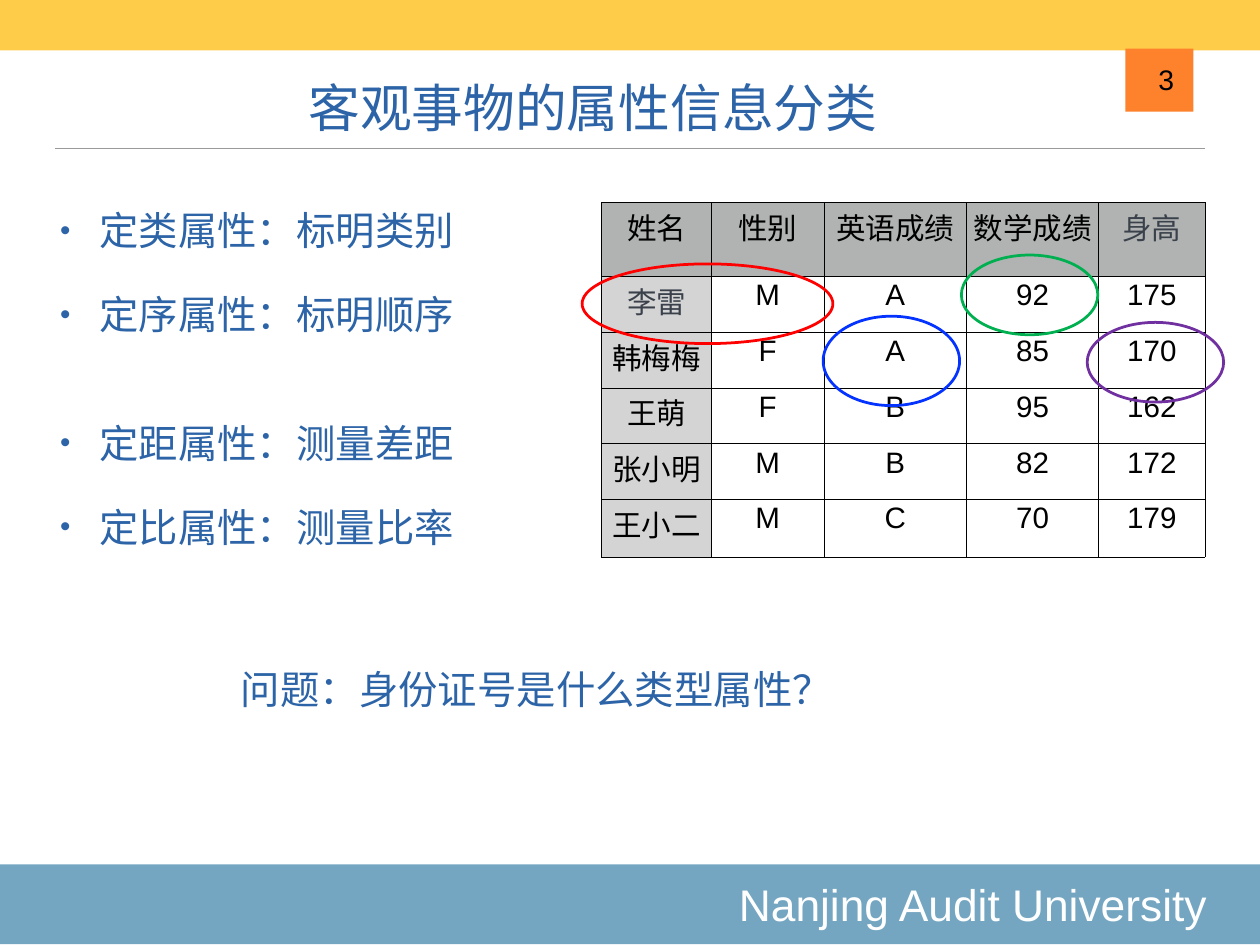
from pptx import Presentation
from pptx.dml.color import RGBColor
from pptx.enum.shapes import MSO_CONNECTOR as CONNECTOR, MSO_SHAPE as SHAPE
from pptx.enum.text import MSO_ANCHOR as ANCHOR, MSO_AUTO_SIZE as AUTO, PP_ALIGN as ALIGN
from pptx.oxml.ns import qn
from pptx.util import Inches, Pt
from lxml.etree import SubElement

BLUE, BLACK, SLATE, WHITE = "2C64A7", "000000", "3A414B", "FFFFFF"
SANS, MONO = "Arial", "Courier New"
HEADER_FILL, NAME_FILL = "B0B3B2", "D4D4D4"

COLUMN_WIDTHS = [1.24, 1.27, 1.61, 1.49, 1.2]
ROW_HEIGHTS = [0.83, 0.63, 0.63, 0.63, 0.63, 0.65]
STUDENTS = [
    ["姓名", "性别", "英语成绩", "数学成绩", "身高"],
    ["李雷", "M", "A", "92", "175"],
    ["韩梅梅", "F", "A", "85", "170"],
    ["王萌", "F", "B", "95", "162"],
    ["张小明", "M", "B", "82", "172"],
    ["王小二", "M", "C", "70", "179"],
]
SLATE_CELLS = {(0, 4), (1, 0)}

# Left, top, width, height and colour of each ring
RINGS = [
    (6.57, 2.98, 2.83, 0.9, "FF0000"),
    (9.29, 3.57, 1.54, 1.01, "0432FF"),
    (10.85, 2.88, 1.54, 0.9, "00B050"),
    (12.27, 3.64, 1.54, 0.9, "7030A0"),
]


def colour(value):
    return RGBColor.from_string(value)


def add_span(para, text, size, font, ink, align=ALIGN.LEFT):
    para.alignment = align
    span = para.add_run()
    span.text = text
    span.font.size = Pt(size)
    span.font.name = font
    span.font.color.rgb = colour(ink)


def set_frame(box, anchor, wrap=True):
    frame = box.text_frame
    frame.auto_size = AUTO.NONE
    frame.word_wrap = wrap
    frame.vertical_anchor = anchor
    frame.margin_left = frame.margin_right = Inches(0.06)
    frame.margin_top = frame.margin_bottom = Inches(0.06)
    return frame


def place(box, left, top, width, height):
    box.left, box.top = Inches(left), Inches(top)
    box.width, box.height = Inches(width), Inches(height)


def add_band(page, left, top, width, height, fill):
    band = page.shapes.add_shape(
        SHAPE.RECTANGLE, Inches(left), Inches(top), Inches(width), Inches(height))
    band.shadow.inherit = False
    band.fill.solid()
    band.fill.fore_color.rgb = colour(fill)
    band.line.fill.background()
    return band


def add_rule(page, left, right, top, ink):
    rule = page.shapes.add_connector(
        CONNECTOR.STRAIGHT, Inches(left), Inches(top), Inches(right), Inches(top))
    rule.line.color.rgb = colour(ink)
    rule.line.width = Pt(1)
    SubElement(rule._element.spPr, qn("a:effectLst"))


def add_ring(page, left, top, width, height, ink):
    ring = page.shapes.add_shape(
        SHAPE.OVAL, Inches(left), Inches(top), Inches(width), Inches(height))
    ring.shadow.inherit = False
    ring.fill.background()
    ring.line.color.rgb = colour(ink)
    ring.line.width = Pt(2.25)


def add_label(page, left, top, width, height, text, size, font, ink, anchor, align):
    box = page.shapes.add_textbox(
        Inches(left), Inches(top), Inches(width), Inches(height))
    frame = set_frame(box, anchor, wrap=False)
    add_span(frame.paragraphs[0], text, size, font, ink, align)


def fill_list(box, top, items):
    place(box, 0.62, top, 5.8, 1.98)
    frame = set_frame(box, ANCHOR.TOP)
    for index, item in enumerate(items):
        para = frame.add_paragraph() if index else frame.paragraphs[0]
        para.space_before = Pt(30)
        add_span(para, item, 32, MONO, BLUE)
        props = para._p.get_or_add_pPr()
        props.set("marL", str(Inches(0.44)))
        props.set("indent", str(-Inches(0.44)))
        SubElement(props, qn("a:buSzPct"), val="75000")
        SubElement(props, qn("a:buFont"), typeface=SANS)
        SubElement(props, qn("a:buChar"), char="•")


def add_borders(cell):
    props = cell._tc.get_or_add_tcPr()
    for side in ("a:lnL", "a:lnR", "a:lnT", "a:lnB"):
        border = SubElement(props, qn(side), w=str(Pt(0.75)))
        solid = SubElement(border, qn("a:solidFill"))
        SubElement(solid, qn("a:srgbClr"), val=BLACK)


def fill_cell(cell, text, ink, font, fill):
    cell.margin_left = cell.margin_right = Inches(0.03)
    cell.margin_top = cell.margin_bottom = Inches(0.03)
    cell.vertical_anchor = ANCHOR.TOP
    add_borders(cell)
    if fill:
        cell.fill.solid()
        cell.fill.fore_color.rgb = colour(fill)
    else:
        cell.fill.background()
    add_span(cell.text_frame.paragraphs[0], text, 24, font, ink, ALIGN.CENTER)


def add_student_table(page):
    table = page.shapes.add_table(
        len(STUDENTS), len(COLUMN_WIDTHS), Inches(6.79), Inches(2.29),
        Inches(sum(COLUMN_WIDTHS)), Inches(sum(ROW_HEIGHTS))).table
    table.first_row = table.horz_banding = False
    for column, width in zip(table.columns, COLUMN_WIDTHS):
        column.width = Inches(width)
    for row, height in zip(table.rows, ROW_HEIGHTS):
        row.height = Inches(height)
    for r, values in enumerate(STUDENTS):
        for c, text in enumerate(values):
            ink, font = (SLATE, MONO) if (r, c) in SLATE_CELLS else (BLACK, SANS)
            fill = HEADER_FILL if r == 0 else NAME_FILL if c == 0 else None
            fill_cell(table.cell(r, c), text, ink, font, fill)


def main():
    deck = Presentation()
    deck.slide_width, deck.slide_height = Inches(14.22), Inches(10.67)
    page = deck.slides.add_slide(deck.slide_layouts[3])
    title, upper_list, lower_list = page.placeholders

    # Page frame
    add_rule(page, 0.62, 13.6, 1.68, "9A9A9A")
    footer = add_band(page, -0.02, 9.76, 14.26, 0.9, "74A6C2")
    frame = set_frame(footer, ANCHOR.MIDDLE)
    frame.margin_right = Inches(0.62)
    add_span(frame.paragraphs[0], "Nanjing Audit University", 36, SANS, WHITE, ALIGN.RIGHT)
    add_band(page, -0.02, 0, 14.26, 0.57, "FECC49")
    add_band(page, 12.7, 0.55, 0.77, 0.71, "FE812C")
    add_label(page, 12.83, 0.65, 0.48, 0.49, "3", 23, SANS, BLACK,
              ANCHOR.BOTTOM, ALIGN.RIGHT)

    # Title and attribute lists
    place(title, 0.83, 0.62, 11.72, 1)
    frame = set_frame(title, ANCHOR.BOTTOM)
    add_span(frame.paragraphs[0], "客观事物的属性信息分类", 42, SANS, BLUE, ALIGN.CENTER)
    fill_list(upper_list, 2.27, ["定类属性：标明类别", "定序属性：标明顺序"])
    fill_list(lower_list, 4.67, ["定距属性：测量差距", "定比属性：测量比率"])

    # Student table with its rings
    add_student_table(page)
    for ring in RINGS:
        add_ring(page, *ring)

    # Closing question
    add_label(page, 2.66, 7.45, 6.84, 0.65, "问题：身份证号是什么类型属性？", 32, MONO, BLUE,
              ANCHOR.MIDDLE, ALIGN.LEFT)

    deck.save("out.pptx")


main()
